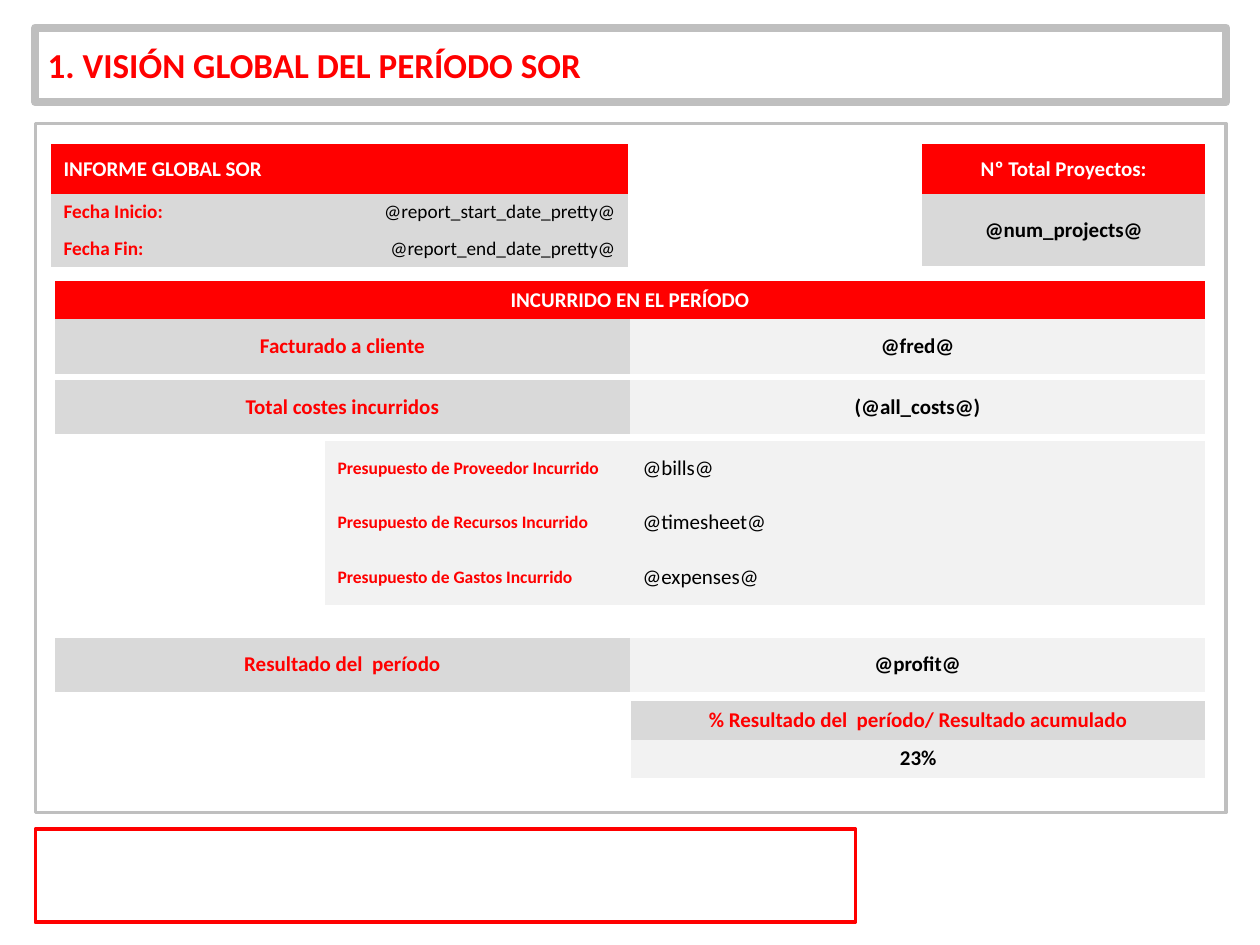
from pptx import Presentation
from pptx.dml.color import RGBColor
from pptx.enum.shapes import MSO_SHAPE
from pptx.enum.text import MSO_ANCHOR, PP_ALIGN
from pptx.oxml.ns import qn
from pptx.util import Inches, Pt

RED = RGBColor(0xFF, 0x00, 0x00)
WHITE = RGBColor(0xFF, 0xFF, 0xFF)
BLACK = RGBColor(0x00, 0x00, 0x00)
PALE = RGBColor(0xF2, 0xF2, 0xF2)
GREY = RGBColor(0xD9, 0xD9, 0xD9)
EDGE = RGBColor(0xBF, 0xBF, 0xBF)
FONT = "Calibri"
NO_STYLE = "{2D5ABB26-0587-4C30-8999-92F81FD0307C}"
LEFT, MID, RIGHT = PP_ALIGN.LEFT, PP_ALIGN.CENTER, PP_ALIGN.RIGHT

deck = Presentation()
deck.slide_width, deck.slide_height = Inches(10), Inches(7.5)
slide = deck.slides.add_slide(deck.slide_layouts[6])
UNIT = deck.slide_width / 100  # the grid has 100 columns and 75 rows


def grid(*spans):
    return [round(span * UNIT) for span in spans]


def write(frame, text, size, color, bold, align):
    frame.text = text
    line = frame.paragraphs[0]
    line.alignment = align
    font = line.runs[0].font
    font.name, font.size, font.bold = FONT, Pt(size), bold
    font.color.rgb = color


# Cell looks: fill, then size, colour, bold and alignment of the text
HEAD = (RED, 12, WHITE, True, MID)
TITLE = (RED, 12, WHITE, True, LEFT)
LABEL = (GREY, 12, RED, True, MID)
VALUE = (PALE, 12, BLACK, True, MID)
COUNT = (GREY, 12, BLACK, True, MID)
DAY = (GREY, 11, RED, True, LEFT)
DATE = (GREY, 11, BLACK, False, RIGHT)
COST = (PALE, 10, RED, True, LEFT)
SUM = (PALE, 12, BLACK, False, LEFT)

HALF = 45.65
START = 4.35
CENTRE = START + HALF
ROW = 4.33

# Tables: left, top, column widths, row heights, rows of (text, look)
tables = [
    (CENTRE + 0.1, 55.6, [HALF - 0.1], [3.1, 3],
     [[("% Resultado del  período/ Resultado acumulado", LABEL)],
      [("23%", VALUE)]]),
    (START, 22.3, [HALF, HALF], [3, ROW],
     [[("INCURRIDO EN EL PERÍODO", HEAD)],
      [("Facturado a cliente", LABEL), ("@fred@", VALUE)]]),
    (START, 50.6, [HALF, HALF], [ROW],
     [[("Resultado del  período", LABEL), ("@profit@", VALUE)]]),
    (CENTRE - 24.2, 35, [24.2, HALF], [ROW] * 3,
     [[("Presupuesto de Proveedor Incurrido", COST), ("@bills@", SUM)],
      [("Presupuesto de Recursos Incurrido", COST), ("@timesheet@", SUM)],
      [("Presupuesto de Gastos Incurrido", COST), ("@expenses@", SUM)]]),
    (START, 30.15, [HALF, HALF], [ROW],
     [[("Total costes incurridos", LABEL), ("(@all_costs@)", VALUE)]]),
    (73.2, 11.45, [22.45], [3.95, 5.75],
     [[("Nº Total Proyectos:", HEAD)],
      [("@num_projects@", COUNT)]]),
    (4.05, 11.45, [22.9, 22.9], [3.95, 2.9, 2.9],
     [[("INFORME GLOBAL SOR", TITLE)],
      [("Fecha Inicio:", DAY), ("@report_start_date_pretty@", DATE)],
      [("Fecha Fin:", DAY), ("@report_end_date_pretty@", DATE)]]),
]

for left, top, cols, rows, lines in tables:
    box = grid(left, top, sum(cols), sum(rows))
    frame = slide.shapes.add_table(len(rows), len(cols), *box)
    frame.element.find(".//" + qn("a:tableStyleId")).text = NO_STYLE
    table = frame.table
    table.first_row = table.horz_banding = False
    for col, width in zip(table.columns, grid(*cols)):
        col.width = width
    for row, height in zip(table.rows, grid(*rows)):
        row.height = height
    for y, line in enumerate(lines):
        if len(line) < len(cols):
            table.cell(y, 0).merge(table.cell(y, len(cols) - 1))
        for x, (text, (fill, *look)) in enumerate(line):
            cell = table.cell(y, x)
            cell.fill.solid()
            cell.fill.fore_color.rgb = fill
            cell.vertical_anchor = MSO_ANCHOR.MIDDLE
            write(cell.text_frame, text, *look)

# Frames: left, top, width, height, line colour, line width
frames = [
    (2.8, 65.8, 65.1, 7.4, RED, 2),
    (2.8, 9.8, 94.5, 54.7, EDGE, 2),
    (2.8, 2.2, 94.5, 5.9, EDGE, 4.75),
]
for *place, color, width in frames:
    rect = slide.shapes.add_shape(MSO_SHAPE.RECTANGLE, *grid(*place))
    rect.shadow.inherit = False
    rect.fill.background()
    rect.line.color.rgb = color
    rect.line.width = Pt(width)

# The last frame is the title bar
rect.text_frame.word_wrap = True
rect.text_frame.vertical_anchor = MSO_ANCHOR.MIDDLE
write(rect.text_frame, "1. VISIÓN GLOBAL DEL PERÍODO SOR", 20, RED, True, LEFT)

deck.save("out.pptx")
